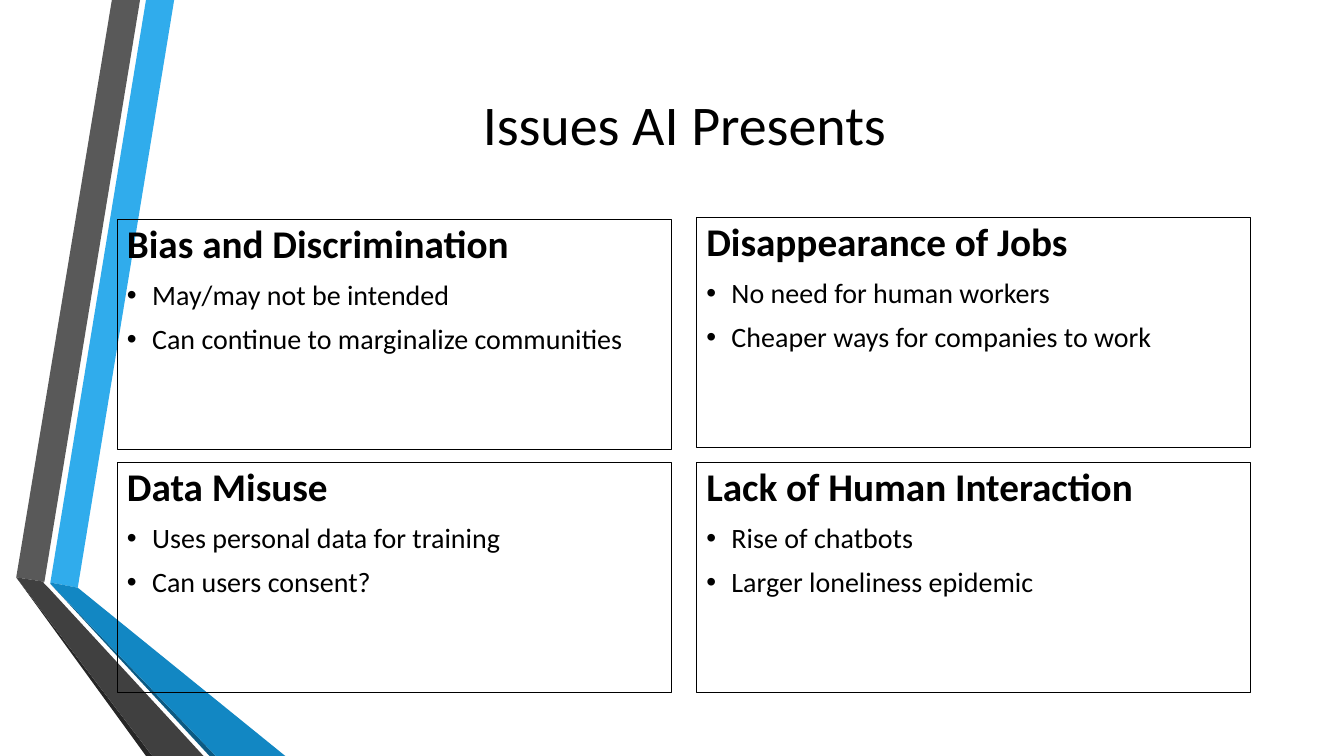
from lxml import etree
from pptx import Presentation
from pptx import util as u
from pptx.dml.color import RGBColor
from pptx.enum import shapes, text
from pptx.oxml.ns import qn

FONT = "Calibri"
BLACK = "000000"
PAGE_WIDTH, PAGE_HEIGHT = 33.87, 19.05

# Ribbon outlines in cm from the top left of the ribbon area
RIBBONS = [
    ("30ACEC", [(1.27, 14.68), (1.96, 14.81), (4.39, 0), (3.68, 0)]),
    ("595959", [(3.53, 0), (2.82, 0), (0.41, 14.55), (1.12, 14.66)]),
    ("262626", [(0.41, 14.55), (3.68, 19.05), (3.84, 19.05)]),
    ("0C5A82", [(1.27, 14.71), (5.28, 19.05), (5.44, 19.05)]),
    ("1287C3", [(1.27, 14.68), (1.27, 14.71), (5.44, 19.05), (7.19, 19.05),
                (1.96, 14.81)]),
    ("404040", [(5.13, 19.05), (1.22, 14.81), (1.09, 14.68), (1.12, 14.66),
                (0.41, 14.55), (3.84, 19.05)]),
]

# Each column: left, tops of its cards, and the cards
CARD_SIZE = (13.97, 5.79)
COLUMNS = [
    (2.95, (5.54, 11.66), [
        ("Bias and Discrimination",
         ["May/may not be intended", "Can continue to marginalize communities"]),
        ("Data Misuse",
         ["Uses personal data for training", "Can users consent?"]),
    ]),
    (17.55, (5.49, 11.66), [
        ("Disappearance of Jobs",
         ["No need for human workers", "Cheaper ways for companies to work"]),
        ("Lack of Human Interaction",
         ["Rise of chatbots", "Larger loneliness epidemic"]),
    ]),
]


def color(value):
    return RGBColor.from_string(value)


def set_font(paragraph, size, bold=False):
    font = paragraph.font
    font.name = FONT
    font.size = u.Pt(size)
    font.bold = bold
    font.color.rgb = color(BLACK)


def add_bullet(paragraph):
    properties = paragraph._p.get_or_add_pPr()
    properties.set("marL", str(u.Cm(0.635)))
    properties.set("indent", str(-u.Cm(0.635)))
    etree.SubElement(properties, qn("a:buFont")).set("typeface", "Arial")
    etree.SubElement(properties, qn("a:buChar")).set("char", "•")


def add_ribbons(page, left, top):
    for fill, outline in RIBBONS:
        points = [(u.Cm(left + x), u.Cm(top + y)) for x, y in outline]
        builder = page.shapes.build_freeform(*points[0])
        builder.add_line_segments(points[1:], close=True)
        ribbon = builder.convert_to_shape()
        ribbon.shadow.inherit = False
        ribbon.fill.solid()
        ribbon.fill.fore_color.rgb = color(fill)
        ribbon.line.fill.background()


def add_title(page, left, top, width, height, words):
    box = page.shapes.add_textbox(*map(u.Cm, (left, top, width, height)))
    frame = box.text_frame
    frame.word_wrap = True
    frame.vertical_anchor = text.MSO_ANCHOR.MIDDLE
    para = frame.paragraphs[0]
    para.text = words
    para.alignment = text.PP_ALIGN.CENTER
    set_font(para, 40)


def add_card(page, left, top, width, height, heading, points):
    box = page.shapes.add_shape(shapes.MSO_SHAPE.RECTANGLE,
                                *map(u.Cm, (left, top, width, height)))
    box.shadow.inherit = False
    box.fill.background()
    box.line.color.rgb = color(BLACK)
    box.line.width = u.Pt(0.75)
    frame = box.text_frame
    frame.word_wrap = True
    frame.vertical_anchor = text.MSO_ANCHOR.TOP

    # Heading, then bulleted points
    for index, words in enumerate([heading, *points]):
        para = frame.add_paragraph() if index else frame.paragraphs[0]
        para.text = words
        para.alignment = text.PP_ALIGN.LEFT
        para.line_spacing = 0.9
        if index:
            para.space_before = u.Pt(10)
            add_bullet(para)
            set_font(para, 20)
        else:
            set_font(para, 28, bold=True)


def main():
    deck = Presentation()
    deck.slide_width = u.Cm(PAGE_WIDTH)
    deck.slide_height = u.Cm(PAGE_HEIGHT)
    page = deck.slides.add_slide(deck.slide_layouts[6])

    add_ribbons(page, 0, 0)
    add_title(page, 3.33, 0.66, 27.84, 4.88, "Issues AI Presents")
    for left, tops, cards in COLUMNS:
        for top, (heading, points) in zip(tops, cards):
            add_card(page, left, top, *CARD_SIZE, heading, points)

    deck.save("out.pptx")


if __name__ == "__main__":
    main()
